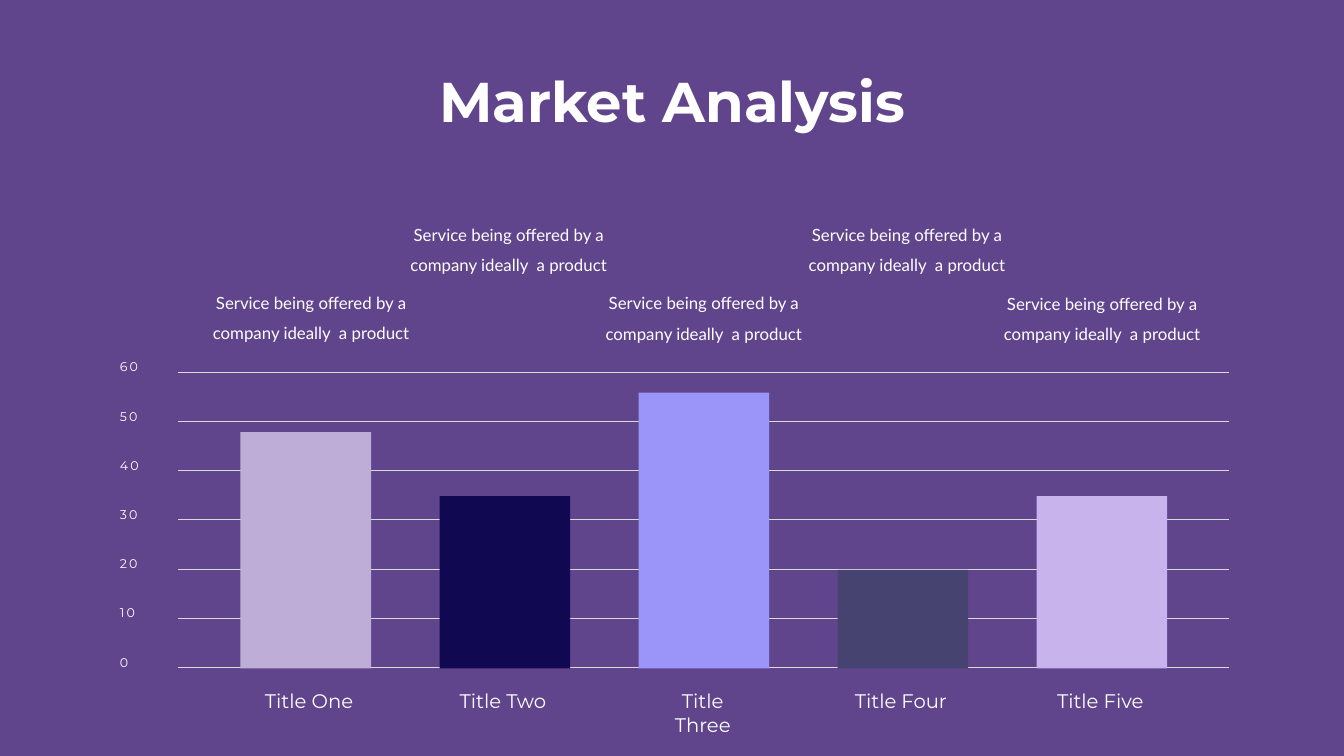
from lxml.etree import SubElement
from pptx import Presentation
from pptx.dml.color import RGBColor
from pptx.enum.shapes import MSO_CONNECTOR as CONNECTOR, MSO_SHAPE as SHAPE
from pptx.enum.text import MSO_AUTO_SIZE as AUTO_SIZE, PP_ALIGN as ALIGN
from pptx.oxml.ns import qn
from pptx.util import Pt

SLIDE_WIDTH, SLIDE_HEIGHT = 1919.52, 1080
WHITE, PURPLE, GRID_GREY = "FFFFFF", "61458C", "D9D9D9"

# Plot geometry
GRID_LEFT, GRID_RIGHT, GRID_BOTTOM = 254.88, 1755.36, 953.28
UNIT = 7.03  # height of one axis unit
BAR_LEFT, BAR_STEP, BAR_WIDTH, BAR_BASE = 343.44, 284.26, 186.5, 954.72

# Title, value, bar colour, title centre, note left, note top
BARS = [
    ("Title One", 48, "BEAED7", 441.4, 283.7, 394.6),
    ("Title Two", 35, "100951", 718.2, 565.9, 298.1),
    ("Title Three", 56, "9B95FA", 1003.7, 844.6, 396),
    ("Title Four", 20, "464371", 1286.6, 1134.7, 298.1),
    ("Title Five", 35, "C9B3EC", 1571.4, 1413.4, 396.7),
]
NOTE = "Service being offered by a company ideally  a product"


def color(hex_string):
    return RGBColor.from_string(hex_string)


def add_rectangle(slide, left, top, width, height, fill):
    shape = slide.shapes.add_shape(
        SHAPE.RECTANGLE, Pt(left), Pt(top), Pt(width), Pt(height))
    shape.shadow.inherit = False
    shape.fill.solid()
    shape.fill.fore_color.rgb = color(fill)
    shape.line.fill.background()


def add_gridline(slide, y):
    line = slide.shapes.add_connector(
        CONNECTOR.STRAIGHT, Pt(GRID_LEFT), Pt(y), Pt(GRID_RIGHT), Pt(y))
    line.line.color.rgb = color(GRID_GREY)
    line.line.width = Pt(0.5)
    SubElement(line._element.spPr, qn("a:effectLst"))


def add_text(slide, text, left, top, width, height, size, font="Montserrat",
             align=ALIGN.CENTER, bold=False, wrap=True, margins=(7.2, 3.6),
             line_spacing=None, tracking=None):
    box = slide.shapes.add_textbox(Pt(left), Pt(top), Pt(width), Pt(height))
    frame = box.text_frame
    frame.word_wrap = wrap
    frame.auto_size = AUTO_SIZE.SHAPE_TO_FIT_TEXT
    frame.margin_left = frame.margin_right = Pt(margins[0])
    frame.margin_top = frame.margin_bottom = Pt(margins[1])
    paragraph = frame.paragraphs[0]
    paragraph.alignment = align
    if line_spacing:
        paragraph.line_spacing = Pt(line_spacing)
    run = paragraph.add_run()
    run.text = text
    run.font.name = font
    run.font.size = Pt(size)
    run.font.bold = bold
    run.font.color.rgb = color(WHITE)
    if tracking:
        run._r.get_or_add_rPr().set("spc", str(tracking * 100))


def add_axis(slide):
    ticks = range(0, 61, 10)
    for tick in reversed(ticks):
        add_gridline(slide, GRID_BOTTOM - tick * UNIT)
    for tick in ticks:
        add_text(slide, str(tick), 164.16, 931.5 - tick * UNIT, 69.12, 28.8,
                 18, align=ALIGN.LEFT, tracking=3)


def add_bars(slide):
    for index, (_, value, fill, *_) in enumerate(BARS):
        height = value * UNIT
        add_rectangle(slide, BAR_LEFT + index * BAR_STEP, BAR_BASE - height,
                      BAR_WIDTH, height, fill)


def add_bar_texts(slide):
    title_width = 150
    for title, _, _, center, note_left, note_top in BARS:
        add_text(slide, title, center - title_width / 2, 980.64, title_width,
                 41.04, 28, wrap=False)
        add_text(slide, NOTE, note_left, note_top, 321.12, 99.36, 24,
                 font="Lato", margins=(17.28, 8.64), line_spacing=43)


def main():
    presentation = Presentation()
    presentation.slide_width = Pt(SLIDE_WIDTH)
    presentation.slide_height = Pt(SLIDE_HEIGHT)
    slide = presentation.slides.add_slide(presentation.slide_layouts[6])

    # Backdrop
    add_rectangle(slide, 0, 0, SLIDE_WIDTH, SLIDE_HEIGHT, PURPLE)
    # Bar graph
    add_axis(slide)
    add_bars(slide)
    # Heading, bar titles and notes
    add_text(slide, "Market Analysis", 602.64, 91.44, 714.96, 104.4, 80,
             bold=True)
    add_bar_texts(slide)

    presentation.save("out.pptx")


if __name__ == "__main__":
    main()
